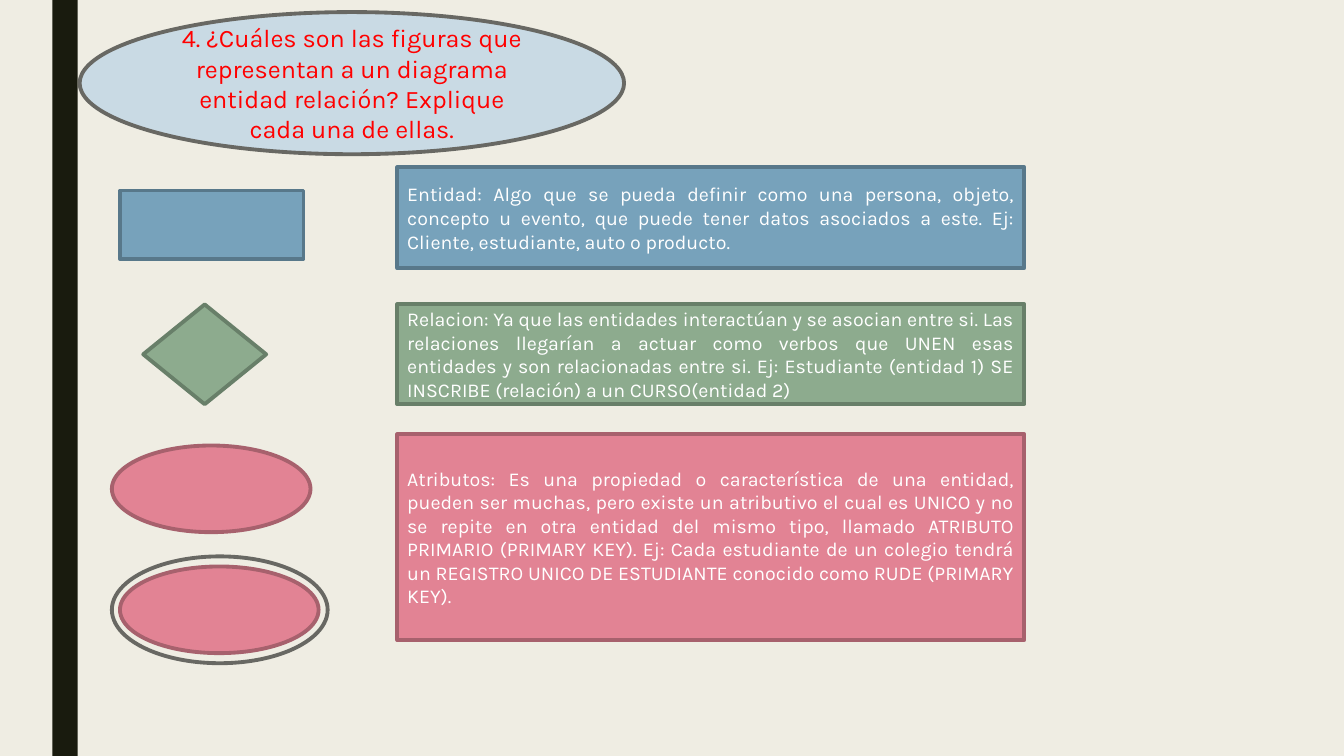
"""Build a slide explaining the figures of an entity-relationship diagram."""
from dataclasses import dataclass

from pptx import Presentation
from pptx.dml.color import RGBColor
from pptx.enum.shapes import MSO_SHAPE
from pptx.enum.text import MSO_ANCHOR, MSO_AUTO_SIZE, PP_ALIGN
from pptx.util import Inches, Pt

RECT, OVAL, DIAMOND = MSO_SHAPE.RECTANGLE, MSO_SHAPE.OVAL, MSO_SHAPE.DIAMOND
MIDDLE, NO_FIT = MSO_ANCHOR.MIDDLE, MSO_AUTO_SIZE.NONE
CENTER, JUSTIFY = PP_ALIGN.CENTER, PP_ALIGN.JUSTIFY


@dataclass(frozen=True)
class Theme:
    font: str = "Karla"
    title_size: int = 18
    body_size: int = 14
    outline: float = 2.75
    background: str = "EFEDE3"
    bar: str = "191B0E"
    title_fill: str = "C9DAE4"
    title_text: str = "FF0000"
    body_text: str = "FFFFFF"
    gray: str = "686863"
    blue: tuple = ("77A2BB", "58788A")
    green: tuple = ("8DAB8E", "687F69")
    pink: tuple = ("E28394", "A7616D")


T = Theme()
TITLE = ("4. ¿Cuáles son las figuras que representan a un diagrama entidad "
         "relación? Explique cada una de ellas.")
TITLE_BOX = (0.79, 0.12, 5.4, 1.41)
TEXT_LEFT, TEXT_WIDTH = 3.94, 6.22
OVAL_INSET = 0.1464

CONCEPTS = [
    {"colors": T.blue, "top": 1.66, "height": 1,
     "symbols": [(RECT, (1.19, 1.89, 1.82, 0.68))],
     "text": "Entidad: Algo que se pueda definir como una persona, objeto, "
             "concepto u evento, que puede tener datos asociados a este. "
             "Ej: Cliente, estudiante, auto o producto."},
    {"colors": T.green, "top": 3.02, "height": 0.99,
     "symbols": [(DIAMOND, (1.42, 3.02, 1.22, 0.99))],
     "text": "Relacion: Ya que las entidades interactúan y se asocian entre "
             "si. Las relaciones llegarían a actuar como verbos que UNEN esas "
             "entidades y son relacionadas entre si. Ej: Estudiante (entidad "
             "1) SE INSCRIBE (relación) a un CURSO(entidad 2)"},
    {"colors": T.pink, "top": 4.31, "height": 2.04,
     "symbols": [(OVAL, (1.11, 4.42, 1.97, 0.86)),
                 (OVAL, (1.19, 5.62, 1.97, 0.86))],
     "text": "Atributos: Es una propiedad o característica de una entidad, "
             "pueden ser muchas, pero existe un atributivo el cual es UNICO y "
             "no se repite en otra entidad del mismo tipo, llamado ATRIBUTO "
             "PRIMARIO (PRIMARY KEY). Ej: Cada estudiante de un colegio "
             "tendrá un REGISTRO UNICO DE ESTUDIANTE conocido como RUDE "
             "(PRIMARY KEY)."},
]
KEY_RING = (1.11, 5.52, 2.14, 1.06)


def rgb(color):
    return RGBColor.from_string(color)


def add_figure(s, kind, box, fill=None, line=None):
    sp = s.shapes.add_shape(kind, *map(Inches, box))
    sp.shadow.inherit = False
    if fill:
        sp.fill.solid()
        sp.fill.fore_color.rgb = rgb(fill)
    else:
        sp.fill.background()
    if line:
        sp.line.color.rgb = rgb(line)
        sp.line.width = Pt(T.outline)
    else:
        sp.line.fill.background()
    return sp


def write(sp, text, size, color, align):
    tf = sp.text_frame
    tf.word_wrap = True
    tf.auto_size = NO_FIT
    tf.vertical_anchor = MIDDLE
    p = tf.paragraphs[0]
    p.alignment = align
    r = p.add_run()
    r.text = text
    r.font.name = T.font
    r.font.size = Pt(size)
    r.font.color.rgb = rgb(color)


def add_title(s):
    add_figure(s, OVAL, TITLE_BOX, T.title_fill, T.gray)
    left, top, width, height = TITLE_BOX
    dx, dy = width * OVAL_INSET, height * OVAL_INSET
    sp = s.shapes.title
    sp.left, sp.top = Inches(left + dx), Inches(top + dy)
    sp.width, sp.height = Inches(width - 2 * dx), Inches(height - 2 * dy)
    s.shapes._spTree.append(sp._element)
    write(sp, TITLE, T.title_size, T.title_text, CENTER)


def add_concept(s, concept):
    for kind, box in concept["symbols"]:
        add_figure(s, kind, box, *concept["colors"])
    box = (TEXT_LEFT, concept["top"], TEXT_WIDTH, concept["height"])
    sp = add_figure(s, RECT, box, *concept["colors"])
    write(sp, concept["text"], T.body_size, T.body_text, JUSTIFY)


def main():
    prs = Presentation()
    prs.slide_width, prs.slide_height = Inches(13.33), Inches(7.5)
    s = prs.slides.add_slide(prs.slide_layouts[5])
    s.background.fill.solid()
    s.background.fill.fore_color.rgb = rgb(T.background)
    add_figure(s, RECT, (0.52, 0, 0.25, 7.5), T.bar)
    add_title(s)
    for concept in CONCEPTS:
        add_concept(s, concept)
    add_figure(s, OVAL, KEY_RING, line=T.gray)
    prs.save("out.pptx")


main()
